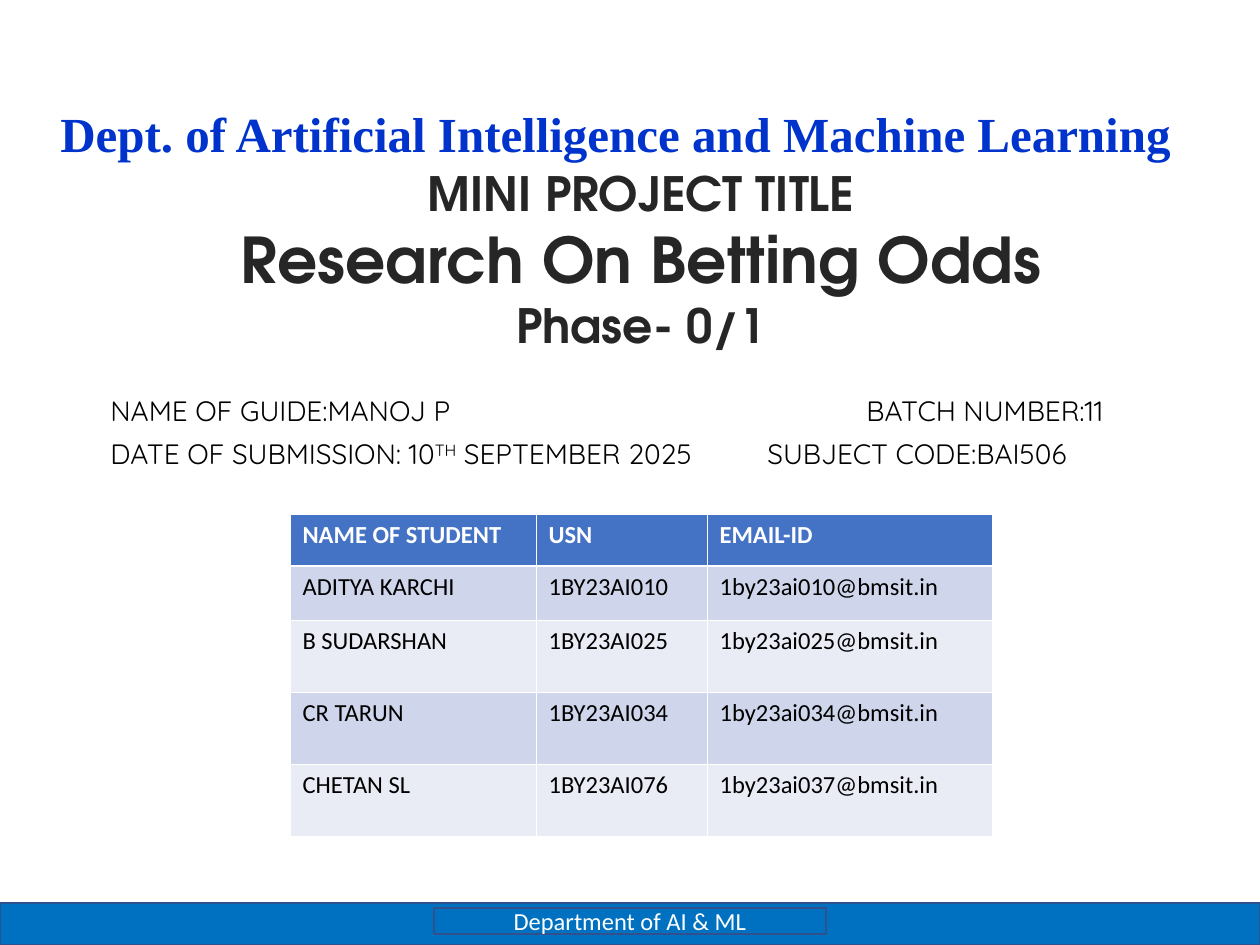
"""Build the title slide of a mini project with its team table."""
import dataclasses
import typing

import pptx
import pptx.dml.color
import pptx.enum.shapes
import pptx.enum.text
import pptx.oxml
import pptx.oxml.ns
import pptx.util

SCALE = 914400 / 126
LEFT = pptx.enum.text.PP_ALIGN.LEFT
MID = pptx.enum.text.PP_ALIGN.CENTER
WHITE, BLACK, DARK, BLUE = "FFFFFF", "000000", "262626", "0070C0"
HEAD, BANDS = "4472C4", ("CFD5EA", "E9EBF5")
COLS = (246, 171, 285)
ROWS = (52, 54, 72, 72, 72)
TEAM = (
    ("NAME OF STUDENT", "USN", "EMAIL-ID"),
    ("ADITYA KARCHI", "1BY23AI010", "1by23ai010@bmsit.in"),
    ("B SUDARSHAN", "1BY23AI025", "1by23ai025@bmsit.in"),
    ("CR TARUN", "1BY23AI034", "1by23ai034@bmsit.in"),
    ("CHETAN SL", "1BY23AI076", "1by23ai037@bmsit.in"),
)


class Box(typing.NamedTuple):
    left: int
    top: int
    width: int
    height: int


@dataclasses.dataclass
class Line:
    text: str
    size: int
    font: str
    color: str
    bold: bool = False
    align: typing.Any = LEFT
    tab: int = 0
    gap: float = 0
    space: float = 1
    raised: str = ""


TITLE = [Line(text, size, "TeX Gyre Adventor", DARK, True, MID) for text, size in (
    ("MINI PROJECT TITLE", 27),
    ("Research On Betting Odds", 36),
    ("Phase- 0/1", 27),
)]
DEPT = [Line("Dept. of Artificial Intelligence and Machine Learning", 28,
             "Times New Roman", "0033CC", True, MID)]
FACTS = [
    Line("NAME OF GUIDE:MANOJ P\tBATCH NUMBER:11", 16, "Quicksand", BLACK,
         tab=756, space=0.9),
    Line("DATE OF SUBMISSION: 10TH SEPTEMBER 2025\tSUBJECT CODE:BAI506", 16,
         "Quicksand", BLACK, tab=657, gap=7.5, space=0.9, raised="TH"),
]
FOOT = [Line("Department of AI & ML", 14, "Calibri", WHITE, align=MID)]


def px(num: float) -> int:
    return pptx.util.Emu(round(num * SCALE))


def rgb(code: str) -> pptx.dml.color.RGBColor:
    return pptx.dml.color.RGBColor.from_string(code)


def add_xml(parent: typing.Any, body: str) -> None:
    tag = body[1:].split(" ")[0].split(">")[0]
    spaces = pptx.oxml.ns.nsdecls("a")
    parent.append(pptx.oxml.parse_xml(body.replace(tag, f"{tag} {spaces}", 1)))


def write(frame: typing.Any, lines: list[Line]) -> None:
    for num, line in enumerate(lines):
        para = frame.add_paragraph() if num else frame.paragraphs[0]
        para.alignment = line.align
        para.line_spacing = line.space
        if line.gap:
            para.space_before = pptx.util.Pt(line.gap)
        if line.tab:
            add_xml(para._p.get_or_add_pPr(),
                    f'<a:tabLst><a:tab pos="{px(line.tab)}" algn="l"/></a:tabLst>')
        if line.raised:
            first, last = line.text.split(line.raised, 1)
            for text in (first, line.raised, last):
                para.add_run().text = text
            para.runs[1]._r.get_or_add_rPr().set("baseline", "30000")
        else:
            para.text = line.text
        for run in para.runs:
            run.font.size = pptx.util.Pt(line.size)
            run.font.name = line.font
            run.font.bold = line.bold
            run.font.color.rgb = rgb(line.color)


def add_text(slide: typing.Any, box: Box, lines: list[Line], inset: bool = True) -> None:
    frame = slide.shapes.add_textbox(*map(px, box)).text_frame
    frame.word_wrap = True
    if not inset:
        frame.margin_left = frame.margin_right = 0
        frame.margin_top = frame.margin_bottom = 0
    write(frame, lines)


def add_bar(slide: typing.Any, box: Box) -> typing.Any:
    kind = pptx.enum.shapes.MSO_SHAPE.RECTANGLE
    bar = slide.shapes.add_shape(kind, *map(px, box))
    bar.shadow.inherit = False
    bar.fill.solid()
    bar.fill.fore_color.rgb = rgb(BLUE)
    bar.line.color.rgb = rgb("2F528F")
    bar.line.width = pptx.util.Pt(1)
    return bar


def edge(cell: typing.Any, side: str, width: float) -> None:
    add_xml(cell._tc.get_or_add_tcPr(),
            f'<a:ln{side} w="{pptx.util.Pt(width)}"><a:solidFill>'
            f'<a:srgbClr val="{WHITE}"/></a:solidFill></a:ln{side}>')


def add_team(slide: typing.Any, left: int, top: int) -> None:
    box = Box(left, top, sum(COLS), sum(ROWS))
    table = slide.shapes.add_table(len(ROWS), len(COLS), *map(px, box)).table
    for col, width in zip(table.columns, COLS):
        col.width = px(width)
    for num, (row, height) in enumerate(zip(table.rows, ROWS)):
        row.height = px(height)
        thick = {0: "B", 1: "T"}.get(num)
        for cell, text in zip(row.cells, TEAM[num]):
            for side in "LRTB":
                edge(cell, side, 1.47 if side == thick else 0.45)
            cell.fill.solid()
            cell.fill.fore_color.rgb = rgb(BANDS[(num - 1) % 2] if num else HEAD)
            color = BLACK if num else WHITE
            write(cell.text_frame, [Line(text, 14, "Calibri", color, not num)])


def main() -> None:
    deck = pptx.Presentation()
    deck.slide_width, deck.slide_height = px(1260), px(945)
    slide = deck.slides.add_slide(deck.slide_layouts[6])
    add_bar(slide, Box(0, 903, 1260, 42))
    label = add_bar(slide, Box(434, 908, 392, 26)).text_frame
    label.vertical_anchor = pptx.enum.text.MSO_ANCHOR.MIDDLE
    write(label, FOOT)
    add_text(slide, Box(82, 164, 1118, 246), TITLE, inset=False)
    add_text(slide, Box(0, 97, 1231, 189), DEPT)
    add_text(slide, Box(98, 391, 1088, 379), FACTS)
    add_team(slide, 290, 514)
    deck.save("out.pptx")


if __name__ == "__main__":
    main()
